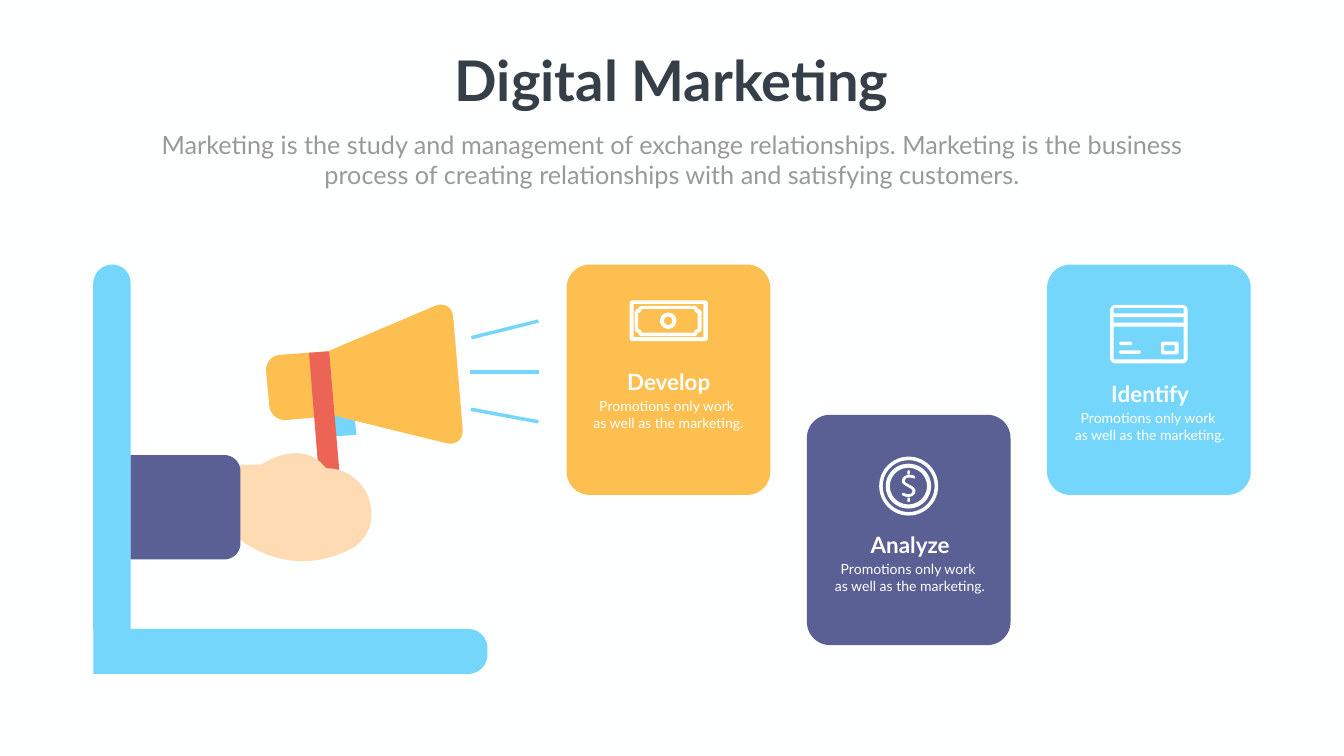
"""Build the Digital Marketing slide: a megaphone scene and three cards."""
import math

import lxml.etree
import pptx
import pptx.dml.color
import pptx.enum.shapes
import pptx.enum.text
import pptx.oxml.ns
import pptx.util

PX = 9144
WHITE, SKY, AMBER, INDIGO = "FEFFFF", "75D6FC", "FDBF50", "5A5F94"
RED, SKIN, DARK, GREY = "EB6456", "FFDBB3", "363E48", "999999"
PRESET = pptx.enum.shapes.MSO_SHAPE

TITLE = "Digital Marketing"
SUBTITLE = ("Marketing is the study and management of exchange relationships. "
            "Marketing is the business process of creating relationships with "
            "and satisfying customers.")
CARD_LINES = ["Promotions only work ", "as well as the marketing."]
CARDS = [
    {"name": "Develop", "color": AMBER, "top": 525, "text_at": (1125, 726)},
    {"name": "Analyze", "color": INDIGO, "top": 823, "text_at": (1604, 1049)},
    {"name": "Identify", "color": SKY, "top": 525, "text_at": (2080, 750)},
]
CARD_LEFT, CARD_PITCH, CARD_SIZE, CARD_RADIUS = 1124, 476.5, (404, 457), 46

MEGAPHONE = [
    (SKY, [(707, 863, 0), (647, 867, 0), (643, 827, 0), (703, 821, 0)]),
    (AMBER, [(664, 825, 0), (537, 836, 31), (525, 706, 31), (653, 697, 0)]),
    (AMBER, [(664, 825, 0), (653, 696, 0), (896, 593, 36), (921, 888, 37)]),
    (RED, [(653, 697, 0), (613, 700, 0), (633, 949, 9), (674, 945, 9)]),
]
HAND = [(451, 922), (518, 922), (518, 922, 599, 866, 647, 929),
        (697, 929, 737, 969, 737, 1020), (737, 1049, 722, 1076, 695, 1090),
        (645, 1115, 558, 1137, 464, 1062), (451, 1057)]
LAPTOP = [
    (SKY, [(185, 1249, 0), (185, 525, 38), (259, 525, 36), (259, 1249, 0)]),
    (SKY, [(185, 1248, 0), (967, 1248, 38), (967, 1337, 38), (185, 1337, 0)]),
    (INDIGO, [(259, 903, 0), (477, 903, 32), (477, 1110, 32), (259, 1110, 0)]),
]
SOUND_LINES = [(933, 738, 1069, 738), (935, 670, 1068, 637),
               (934, 812, 1068, 837)]

ICON_FRAMES = [
    ((1249, 596, 155, 81, 6), (1257, 603, 138, 66, 0)),
    ((2202, 605, 154, 116, 11), (2209, 611, 139, 102, 2)),
    ((2303, 678, 35, 25, 4), (2309, 685, 21, 11, 0)),
]
ICON_RINGS = [(1309, 620, 33, 33, 8), (1744, 906, 117, 117, 7),
              (1757, 920, 90, 89, 8)]
ICON_BARS = [(2202, 622, 154, 7), (2202, 640, 154, 8), (2220, 678, 26, 7),
             (2220, 695, 43, 7), (1800, 933, 5, 9), (1800, 987, 5, 9)]
NOTE_OUTER = [(1377, 607), (1273, 607), (1269, 607, 1266, 611, 1266, 613),
              (1262, 613, 1259, 617, 1259, 621), (1259, 653),
              (1259, 657, 1262, 660, 1266, 660),
              (1266, 664, 1269, 667, 1273, 667), (1377, 667),
              (1381, 667, 1384, 664, 1384, 660),
              (1388, 660, 1392, 657, 1392, 653), (1392, 621),
              (1392, 617, 1388, 613, 1384, 613),
              (1384, 611, 1381, 607, 1377, 607)]
NOTE_INNER = [(1377, 613), (1377, 617, 1380, 621, 1384, 621), (1384, 653),
              (1380, 653, 1377, 656, 1377, 660), (1273, 660),
              (1273, 656, 1270, 653, 1266, 653), (1266, 621),
              (1270, 621, 1273, 617, 1273, 613)]
DOLLAR = [(1801, 986), (1798, 986, 1794, 985, 1791, 983),
          (1789, 983, 1789, 981, 1789, 980), (1790, 978, 1792, 978, 1793, 978),
          (1799, 981, 1804, 981, 1808, 979), (1809, 977, 1810, 976, 1810, 974),
          (1810, 971, 1805, 969, 1801, 966), (1799, 965, 1796, 964, 1794, 962),
          (1791, 960, 1789, 957, 1789, 955), (1789, 951, 1791, 947, 1794, 945),
          (1799, 942, 1807, 941, 1814, 944), (1815, 945, 1816, 947, 1815, 948),
          (1815, 949, 1813, 950, 1812, 949), (1806, 947, 1801, 947, 1797, 949),
          (1796, 951, 1795, 952, 1795, 955), (1795, 957, 1799, 959, 1804, 962),
          (1806, 963, 1809, 964, 1811, 966), (1814, 968, 1816, 971, 1816, 974),
          (1816, 978, 1814, 981, 1811, 983), (1808, 985, 1805, 986, 1801, 986)]


def rgb(color):
    return pptx.dml.color.RGBColor.from_string(color)


def emu(*lengths):
    return [round(length * PX) for length in lengths]


def trace(nodes, steps=12):
    points = []
    for node in nodes:
        if len(node) == 2:
            points.append(node)
            continue
        a, b, c, d = points[-1], node[:2], node[2:4], node[4:]
        for step in range(1, steps + 1):
            t = step / steps
            u = 1 - t
            points.append(tuple(
                u**3 * a[k] + 3 * u * u * t * b[k] + 3 * u * t * t * c[k] + t**3 * d[k]
                for k in (0, 1)))
    return points


def toward(start, end, distance):
    share = distance / math.dist(start, end)
    return tuple(s + (e - s) * share for s, e in zip(start, end))


def rounded(corners):
    nodes = []
    for index, (x, y, radius) in enumerate(corners):
        corner = (x, y)
        if not radius:
            nodes.append(corner)
            continue
        before = corners[index - 1][:2]
        after = corners[(index + 1) % len(corners)][:2]
        handle = radius * 0.45
        nodes.append(toward(corner, before, radius))
        nodes.append(toward(corner, before, handle) + toward(corner, after, handle)
                     + toward(corner, after, radius))
    return trace(nodes)


def frame_edge(left, top, width, height, radius):
    right, bottom = left + width, top + height
    return rounded([(left, top, radius), (right, top, radius),
                    (right, bottom, radius), (left, bottom, radius)])


def paint(shape, color):
    shape.shadow.inherit = False
    shape.fill.solid()
    shape.fill.fore_color.rgb = rgb(color)
    shape.line.fill.background()


def add_outline(slide, color, *contours):
    first, *holes = [[emu(*point) for point in contour] for contour in contours]
    builder = slide.shapes.build_freeform(*first[0], scale=1.0)
    builder.add_line_segments(first[1:], close=True)
    for hole in holes:
        builder.move_to(*hole[0])
        builder.add_line_segments(hole[1:], close=True)
    paint(builder.convert_to_shape(), color)


def add_preset(slide, preset, box, color, adjustment):
    shape = slide.shapes.add_shape(preset, *emu(*box))
    shape.adjustments[0] = adjustment
    paint(shape, color)


def add_sound_line(slide, ends):
    line = slide.shapes.add_connector(
        pptx.enum.shapes.MSO_CONNECTOR.STRAIGHT, *emu(*ends))
    line.line.color.rgb = rgb(SKY)
    line.line.width = pptx.util.Pt(5)
    properties = line._element.spPr
    lxml.etree.SubElement(properties, pptx.oxml.ns.qn("a:effectLst"))


def add_text(slide, box, lines, size, color, bold=False):
    frame = slide.shapes.add_textbox(*emu(*box)).text_frame
    frame.word_wrap = True
    for index, line in enumerate(lines):
        paragraph = frame.add_paragraph() if index else frame.paragraphs[0]
        paragraph.alignment = pptx.enum.text.PP_ALIGN.CENTER
        run = paragraph.add_run()
        run.text = line
        run.font.name = "Lato"
        run.font.size = pptx.util.Pt(size)
        run.font.bold = bold
        run.font.color.rgb = rgb(color)


def main():
    deck = pptx.Presentation()
    deck.slide_width, deck.slide_height = emu(2666, 1500)
    slide = deck.slides.add_slide(deck.slide_layouts[6])
    slide.background.fill.solid()
    slide.background.fill.fore_color.rgb = rgb(WHITE)

    for color, corners in MEGAPHONE:
        add_outline(slide, color, rounded(corners))
    add_outline(slide, SKIN, trace(HAND))
    for color, corners in LAPTOP:
        add_outline(slide, color, rounded(corners))
    for ends in SOUND_LINES:
        add_sound_line(slide, ends)

    for index, card in enumerate(CARDS):
        box = (CARD_LEFT + index * CARD_PITCH, card["top"], *CARD_SIZE)
        add_preset(slide, PRESET.ROUNDED_RECTANGLE, box, card["color"],
                   CARD_RADIUS / CARD_SIZE[0])

    for outer, inner in ICON_FRAMES:
        add_outline(slide, WHITE, frame_edge(*outer), frame_edge(*inner))
    add_outline(slide, WHITE, trace(NOTE_OUTER), trace(NOTE_INNER))
    for *box, thickness in ICON_RINGS:
        add_preset(slide, PRESET.DONUT, box, WHITE, thickness / min(box[2:]))
    for box in ICON_BARS:
        add_preset(slide, PRESET.ROUNDED_RECTANGLE, box, WHITE, 0.5)
    add_outline(slide, WHITE, trace(DOLLAR))

    add_text(slide, (882, 85, 901, 145), [TITLE], 80, DARK, bold=True)
    add_text(slide, (268, 251, 2130, 131), [SUBTITLE], 36, GREY)
    for card in CARDS:
        left, top = card["text_at"]
        add_text(slide, (left + 71, top, 261, 64), [card["name"]], 32, WHITE, bold=True)
        add_text(slide, (left, top + 58, 402, 77), CARD_LINES, 20, WHITE)

    deck.save("out.pptx")


if __name__ == "__main__":
    main()
